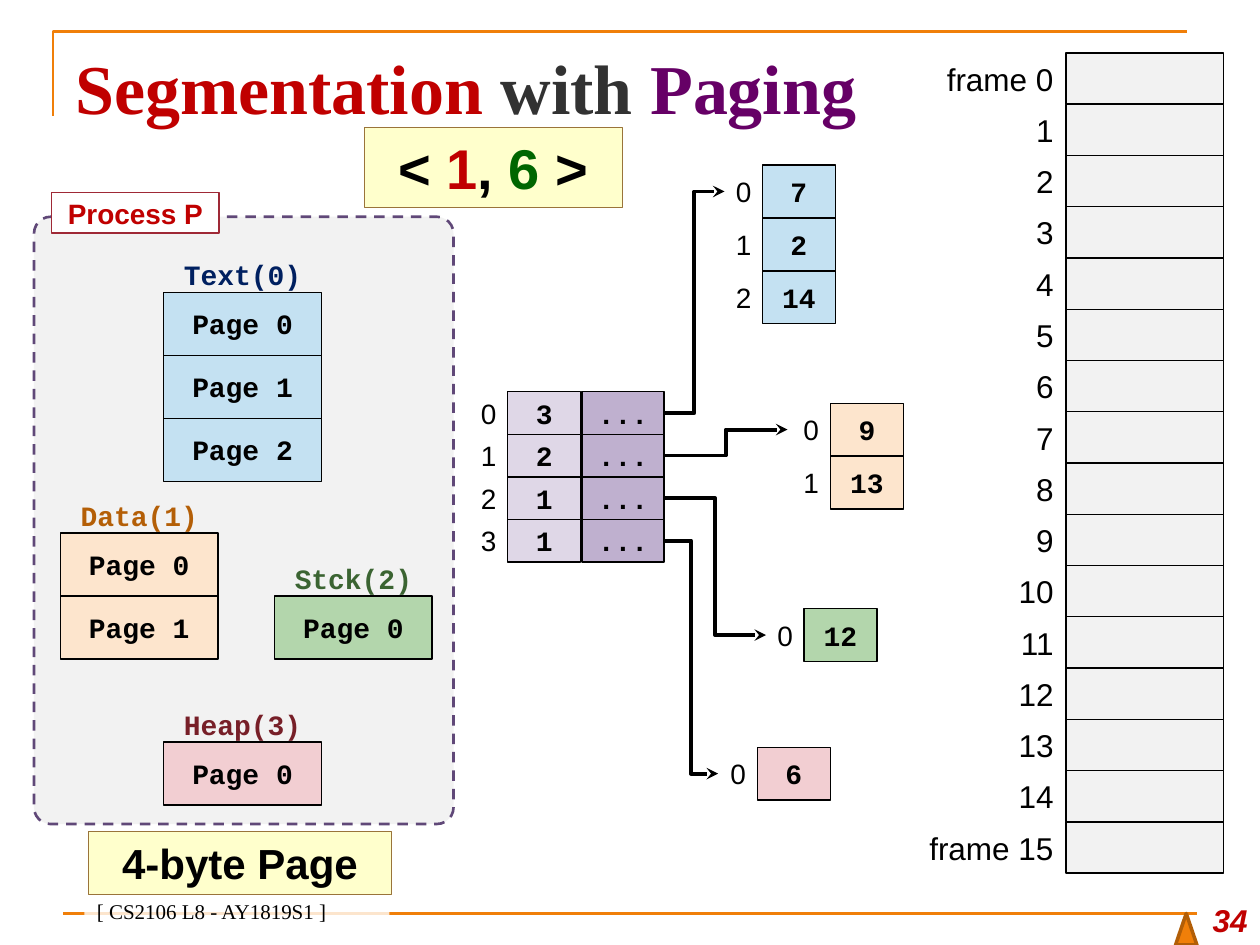
from lxml import etree
from pptx import Presentation
from pptx.dml.color import RGBColor
from pptx.enum.dml import MSO_LINE as Dash
from pptx.enum.shapes import MSO_CONNECTOR as Link, MSO_SHAPE as Kind
from pptx.enum.text import MSO_ANCHOR as Anchor, PP_ALIGN as Align
from pptx.oxml.ns import qn
from pptx.util import Inches, Pt

SANS, MONO, SERIF = "Arial", "Courier New", "Times New Roman"
BLACK, WHITE, GREY, RED = "000000", "FFFFFF", "F2F2F2", "C00000"
ORANGE, CREAM, TAN = "F07F09", "FFFFCC", "9A743A"
BLUE, PEACH, GREEN, PINK = "C4E1F2", "FDE5CD", "B3D6AC", "F2CED2"
LILAC, PURPLE = "DFD7E7", "BFB0CF"


def color(code):
    return RGBColor.from_string(code)


class Board:
    """The current slide and its drawing style."""

    def __init__(self, slide):
        self.shapes = slide.shapes

    def label(self, shape, runs, size, font=SANS, bold=False, italic=False,
              align=Align.CENTER, anchor=Anchor.MIDDLE, pad=0.1):
        """Fill a shape with one paragraph of (text, colour) runs."""
        frame = shape.text_frame
        frame.word_wrap = True
        frame.vertical_anchor = anchor
        frame.margin_left = frame.margin_right = Inches(pad)
        para = frame.paragraphs[0]
        para.alignment = align
        for text, code in runs:
            run = para.add_run()
            run.text = text
            run.font.size, run.font.name = Pt(size), font
            run.font.bold, run.font.italic = bold, italic
            run.font.color.rgb = color(code)

    def text(self, x, y, w, h, runs, size, **style):
        box = self.shapes.add_textbox(*map(Inches, (x, y, w, h)))
        self.label(box, runs, size, **style)

    def shape(self, x, y, w, h, fill, line=None, width=0.75, kind=Kind.RECTANGLE):
        item = self.shapes.add_shape(kind, *map(Inches, (x, y, w, h)))
        item.shadow.inherit = False
        item.fill.solid()
        item.fill.fore_color.rgb = color(fill)
        if line:
            item.line.color.rgb = color(line)
            item.line.width = Pt(width)
        else:
            item.line.fill.background()
        return item

    def cell(self, x, y, w, h, fill, text):
        box = self.shape(x, y, w, h, fill, BLACK)
        self.label(box, [(text, BLACK)], 16, MONO, bold=True)

    def index(self, x, y, w, h, text, size=16, pad=0.09):
        self.text(x, y, w, h, [(text, BLACK)], size, align=Align.RIGHT, pad=pad)

    def line(self, start, end, code, width, kind=Link.STRAIGHT, head=False):
        link = self.shapes.add_connector(kind, *map(Inches, start + end))
        link.line.color.rgb = color(code)
        link.line.width = Pt(width)
        props = link._element.spPr
        if head:
            tip = etree.SubElement(props.find(qn("a:ln")), qn("a:tailEnd"))
            tip.set("type", "stealth")
        etree.SubElement(props, qn("a:effectLst"))

    def corner(self, points, code, width):
        """Draw an open outline through the points."""
        first, *rest = [tuple(map(Inches, point)) for point in points]
        outline = self.shapes.build_freeform(*first)
        outline.add_line_segments(rest, close=False)
        item = outline.convert_to_shape()
        item.shadow.inherit = False
        item.fill.background()
        item.line.color.rgb = color(code)
        item.line.width = Pt(width)

    def segment(self, x, y, name, code, fill, pages):
        """Draw a titled stack of the pages in one segment."""
        self.text(x, y - 0.28, 1.25, 0.28, [(name, code)], 16, font=MONO, bold=True)
        for i in range(pages):
            self.cell(x, y + i * 0.5, 1.25, 0.5, fill, f"Page {i}")

    def table(self, x, y, fill, frames, left, start):
        """Draw a page table and the arrow from its segment entry."""
        high = 0.42
        for i, value in enumerate(frames):
            top = y + i * high
            self.index(left, top, x - left, high, str(i))
            self.cell(x, top, 0.58, high, fill, value)
        self.line(start, (left, y + high / 2), BLACK, 2.25, Link.ELBOW, head=True)


def main():
    deck = Presentation()
    deck.slide_width, deck.slide_height = Inches(10), Inches(7.5)
    board = Board(deck.slides.add_slide(deck.slide_layouts[6]))

    board.corner([(0.42, 0.92), (0.42, 0.25), (9.42, 0.25)], ORANGE, 1.5)
    board.line((0.5, 7.25), (9.5, 7.25), ORANGE, 1.5)
    process = board.shape(0.27, 1.72, 3.33, 4.82, GREY, "604878", 1.5,
                          Kind.ROUNDED_RECTANGLE)
    process.adjustments[0] = 0.04
    process.line.dash_style = Dash.DASH

    title = [("Segmentation ", RED), ("with ", "323232"), ("Paging", "660066")]
    board.text(0.5, 0.3, 9, 0.78, title, 40, font=SERIF, bold=True, align=Align.LEFT)
    footer = board.shape(0.67, 7.13, 2.42, 0.25, WHITE)
    shade = footer._element.spPr.find(".//" + qn("a:srgbClr"))
    etree.SubElement(shade, qn("a:alpha")).set("val", "80000")
    board.label(footer, [("[ CS2106 L8 - AY1819S1 ]", BLACK)], 12, SERIF,
                align=Align.LEFT, anchor=Anchor.BOTTOM)
    board.text(9.42, 7, 0.58, 0.5, [("34", RED)], 18, bold=True, italic=True,
               align=Align.RIGHT, anchor=Anchor.BOTTOM)
    name = board.shape(0.41, 1.53, 1.33, 0.32, WHITE, "9F2936")
    board.label(name, [("Process P", RED)], 16, bold=True)

    for args in [
        (1.3, 2.32, "Text(0)", "002060", BLUE, 3),
        (0.48, 4.23, "Data(1)", "B45F07", PEACH, 2),
        (2.18, 4.73, "Stck(2)", "3B6432", GREEN, 1),
        (1.3, 5.89, "Heap(3)", "771F28", PINK, 1),
    ]:
        board.segment(*args)

    tables = [
        (6.05, 1.31, BLUE, ["7", "2", "14"], 5.75),
        (6.59, 3.2, PEACH, ["9", "13"], 6.25),
        (6.38, 4.83, GREEN, ["12"], 6.08),
        (6.01, 5.93, PINK, ["6"], 5.7),
    ]
    step = 1.35 / len(tables)
    for i, table in enumerate(tables):
        top = 3.11 + i * step
        board.index(3.53, top, 0.5, step, str(i))
        board.cell(4.03, top, 0.58, step, LILAC, str(len(table[3])))
        board.cell(4.62, top, 0.65, step, PURPLE, "...")
        board.table(*table, (5.27, top + step / 2))

    count = 16
    step = 6.51 / count
    for i in range(count):
        top = 0.42 + i * step
        name = f"frame {i}" if i in (0, count - 1) else str(i)
        board.index(7.21, top, 1.25, step, name, 18, 0.1)
        board.shape(8.46, top, 1.25, step, GREY, BLACK)

    address = board.shape(2.89, 1.01, 2.05, 0.64, CREAM, TAN)
    board.label(address, [("< ", BLACK), ("1", RED), (", ", BLACK),
                          ("6 ", "006600"), (">", BLACK)], 32, bold=True)
    board.shape(9.33, 7.25, 0.17, 0.25, ORANGE, "B25E07", 2, Kind.ISOSCELES_TRIANGLE)
    note = board.shape(0.7, 6.6, 2.41, 0.5, CREAM, TAN)
    board.label(note, [("4-byte Page", BLACK)], 24, bold=True)

    deck.save("out.pptx")


if __name__ == "__main__":
    main()
